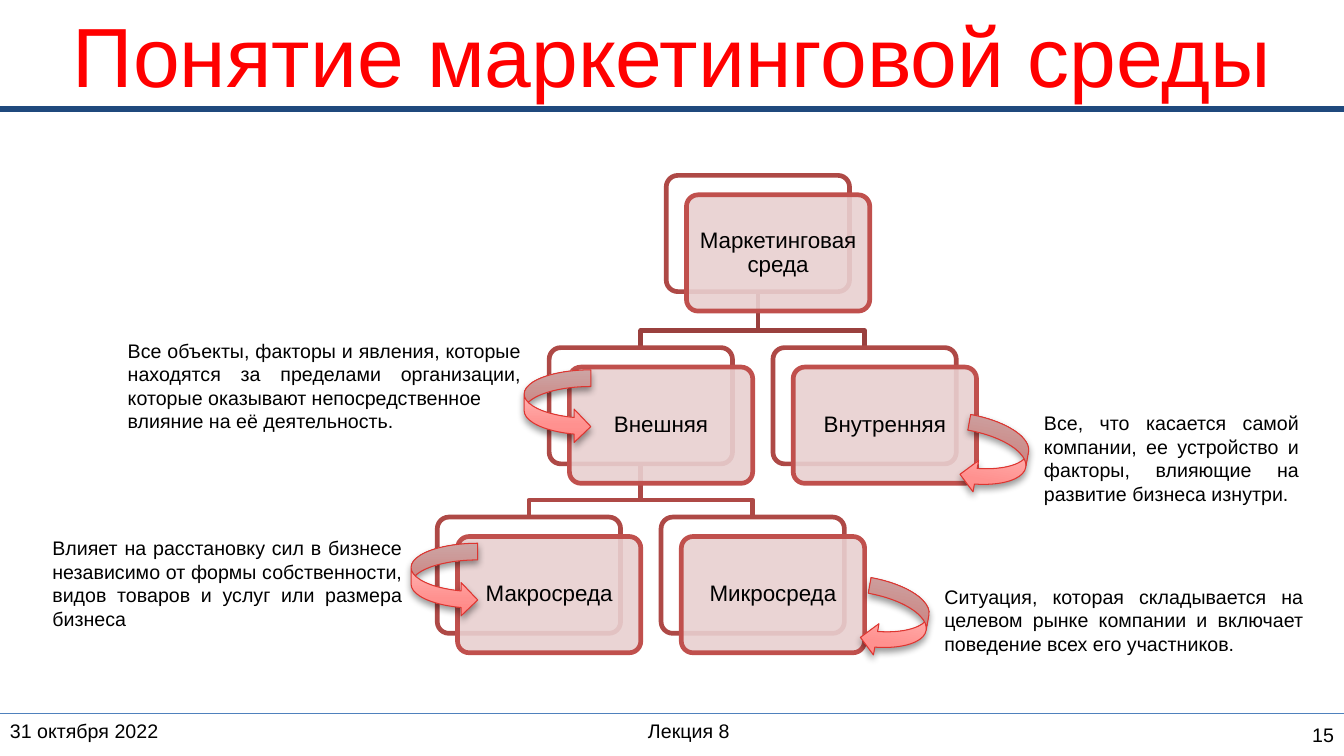
from lxml.etree import SubElement
from pptx import Presentation
from pptx.dml.color import RGBColor
from pptx.enum.shapes import MSO_CONNECTOR, MSO_SHAPE
from pptx.enum.text import MSO_ANCHOR, PP_ALIGN
from pptx.oxml import parse_xml
from pptx.oxml.ns import nsdecls, qn
from pptx.util import Cm, Pt

COLORS = {
    "title": "FF0000", "text": "000000", "title_rule": "1F497D", "footer_rule": "4F81BD",
    "back_fill": "FFFFFF", "back_line": "AE4946", "card_fill": "E8D0D0", "card_line": "C0504D",
    "root_branch": "9A403E", "branch": "AE4946", "arrow_line": "DD3530",
    "arrow_dark": "FF8583", "arrow_mid": "FF918F", "arrow_light": "FFCFCE",
}
WIDTH, HEIGHT = 33.87, 19.05
TITLE_HEIGHT, FOOTER_TOP = 2.74, 17.98
NODE_WIDTH, NODE_HEIGHT = 4.62, 2.93
CARD_SHIFT_X, CARD_SHIFT_Y = 0.51, 0.49
BRANCH_DROP = 0.43

# Left and top of each node, then the links from parent to child
NODES = {
    "Маркетинговая среда": (16.79, 4.42),
    "Внешняя": (13.84, 8.76),
    "Внутренняя": (19.48, 8.76),
    "Макросреда": (11.02, 13.03),
    "Микросреда": (16.66, 13.03),
}
LINKS = [
    ("Маркетинговая среда", "Внутренняя", "root_branch"),
    ("Внешняя", "Микросреда", "branch"),
    ("Внешняя", "Макросреда", "branch"),
    ("Маркетинговая среда", "Внешняя", "root_branch"),
]
# Box of each note and its paragraphs
NOTES = [
    ((1.07, 13.39, 9.32, 2.64), ["Влияет на расстановку сил в бизнесе независимо от формы "
                                 "собственности, видов товаров и услуг или размера бизнеса"]),
    ((23.55, 14.61, 9.55, 2.06), ["Ситуация, которая складывается на целевом рынке компании "
                                  "и включает поведение всех его участников."]),
    ((26.06, 10.24, 6.93, 2.64), ["Все, что касается самой компании, ее устройство и факторы, "
                                  "влияющие на развитие бизнеса изнутри."]),
    ((2.97, 8.41, 10.41, 2.64), ["Все объекты, факторы и явления, которые находятся за пределами "
                                 "организации, которые оказывают непосредственное",
                                 "влияние на её деятельность."]),
]
LEFT_ARROW = MSO_SHAPE.CURVED_LEFT_ARROW
RIGHT_ARROW = MSO_SHAPE.CURVED_RIGHT_ARROW
ARROWS = [
    (LEFT_ARROW, (24.28, 10.57, 1.6, 1.93), 10.1),
    (LEFT_ARROW, (21.77, 14.68, 1.6, 1.93), 10.1),
    (RIGHT_ARROW, (10.36, 13.69, 1.68, 1.85), 0),
    (RIGHT_ARROW, (13.21, 9.32, 1.68, 1.85), 0),
]


def color(name):
    return RGBColor.from_string(COLORS[name])


def set_line(shape, name, width):
    shape.line.color.rgb = color(name)
    shape.line.width = Pt(width)


def write(shape, paragraphs, size=14, name="text", align=PP_ALIGN.LEFT,
          anchor=MSO_ANCHOR.TOP, spacing=None):
    frame = shape.text_frame
    frame.word_wrap = True
    frame.vertical_anchor = anchor
    for index, text in enumerate(paragraphs):
        paragraph = frame.add_paragraph() if index else frame.paragraphs[0]
        paragraph.alignment = align
        paragraph.line_spacing = spacing
        run = paragraph.add_run()
        run.text = text
        run.font.name = "Arial"
        run.font.size = Pt(size)
        run.font.color.rgb = color(name)


def add_text(slide, box, paragraphs, **text_format):
    write(slide.shapes.add_textbox(*map(Cm, box)), paragraphs, **text_format)


def add_rule(slide, top, name, width):
    rule = slide.shapes.add_connector(MSO_CONNECTOR.STRAIGHT, 0, Cm(top), Cm(WIDTH), Cm(top))
    set_line(rule, name, width)
    SubElement(rule.element.spPr, qn("a:effectLst"))


def add_header(slide, box):
    left, top, width, height = box
    add_rule(slide, top + height, "title_rule", 4.5)
    add_text(slide, box, ["Понятие маркетинговой среды"], size=60, name="title",
             align=PP_ALIGN.CENTER, anchor=MSO_ANCHOR.MIDDLE)


def add_footer(slide, box):
    left, top, width, height = box
    add_rule(slide, top, "footer_rule", 0.75)
    parts = [
        ("31 октября 2022", 7.34, PP_ALIGN.LEFT, MSO_ANCHOR.TOP),
        ("Лекция 8", 20.04, PP_ALIGN.CENTER, MSO_ANCHOR.TOP),
        ("15", width - 7.34 - 20.04, PP_ALIGN.RIGHT, MSO_ANCHOR.MIDDLE),
    ]
    for text, part_width, align, anchor in parts:
        add_text(slide, (left, top, part_width, height), [text], align=align, anchor=anchor)
        left += part_width


def add_branch(slide, parent, child, name):
    start_x, end_x = (node[0] + NODE_WIDTH / 2 for node in (parent, child))
    start_y, end_y = parent[1] + NODE_HEIGHT, child[1]
    bend_y = end_y - BRANCH_DROP
    points = [(start_x, bend_y), (end_x, bend_y), (end_x, end_y)]
    builder = slide.shapes.build_freeform(Cm(start_x), Cm(start_y))
    builder.add_line_segments([(Cm(x), Cm(y)) for x, y in points], close=False)
    branch = builder.convert_to_shape()
    branch.shadow.inherit = False
    branch.fill.background()
    set_line(branch, name, 3.35)


def add_card(slide, left, top, fill, line):
    card = slide.shapes.add_shape(MSO_SHAPE.ROUNDED_RECTANGLE, Cm(left), Cm(top),
                                  Cm(NODE_WIDTH), Cm(NODE_HEIGHT))
    card.adjustments[0] = 0.1
    card.shadow.inherit = False
    card.fill.solid()
    card.fill.fore_color.rgb = color(fill)
    set_line(card, line, 3.35)
    return card


def add_node(slide, left, top, text):
    add_card(slide, left, top, "back_fill", "back_line")
    card = add_card(slide, left + CARD_SHIFT_X, top + CARD_SHIFT_Y, "card_fill", "card_line")
    fill_color = card.element.spPr.find(qn("a:solidFill"))[0]
    SubElement(fill_color, qn("a:alpha"), val="90000")
    frame = card.text_frame
    frame.margin_left = frame.margin_right = frame.margin_top = frame.margin_bottom = Cm(0.18)
    write(card, [text], size=16, align=PP_ALIGN.CENTER, anchor=MSO_ANCHOR.MIDDLE, spacing=0.9)


def add_hierarchy(slide):
    for parent, child, name in LINKS:
        add_branch(slide, NODES[parent], NODES[child], name)
    for text, (left, top) in NODES.items():
        add_node(slide, left, top, text)


def add_arrow(slide, kind, box, rotation):
    arrow = slide.shapes.add_shape(kind, *map(Cm, box))
    arrow.rotation = rotation
    set_line(arrow, "arrow_line", 0.75)
    # Three-stop gradient before the line, soft shadow after it
    stops = "".join(
        f'<a:gs pos="{position}"><a:srgbClr val="{COLORS[name]}"/></a:gs>'
        for position, name in [(0, "arrow_dark"), (25000, "arrow_mid"), (100000, "arrow_light")])
    properties = arrow.element.spPr
    properties.find(qn("a:ln")).addprevious(parse_xml(
        f'<a:gradFill {nsdecls("a")} rotWithShape="1"><a:gsLst>{stops}</a:gsLst>'
        '<a:lin ang="16200000" scaled="0"/></a:gradFill>'))
    properties.append(parse_xml(
        f'<a:effectLst {nsdecls("a")}><a:outerShdw blurRad="{Pt(5.2)}" dist="{Pt(3)}" '
        'dir="5400000" rotWithShape="0"><a:srgbClr val="000000"><a:alpha val="40000"/>'
        '</a:srgbClr></a:outerShdw></a:effectLst>'))


def main():
    presentation = Presentation()
    presentation.slide_width, presentation.slide_height = Cm(WIDTH), Cm(HEIGHT)
    slide = presentation.slides.add_slide(presentation.slide_layouts[6])
    add_header(slide, (0, 0, WIDTH, TITLE_HEIGHT))
    add_footer(slide, (0, FOOTER_TOP, WIDTH, HEIGHT - FOOTER_TOP))
    add_hierarchy(slide)
    for box, paragraphs in NOTES:
        add_text(slide, box, paragraphs, align=PP_ALIGN.JUSTIFY)
    for kind, box, rotation in ARROWS:
        add_arrow(slide, kind, box, rotation)
    presentation.save("out.pptx")


if __name__ == "__main__":
    main()
